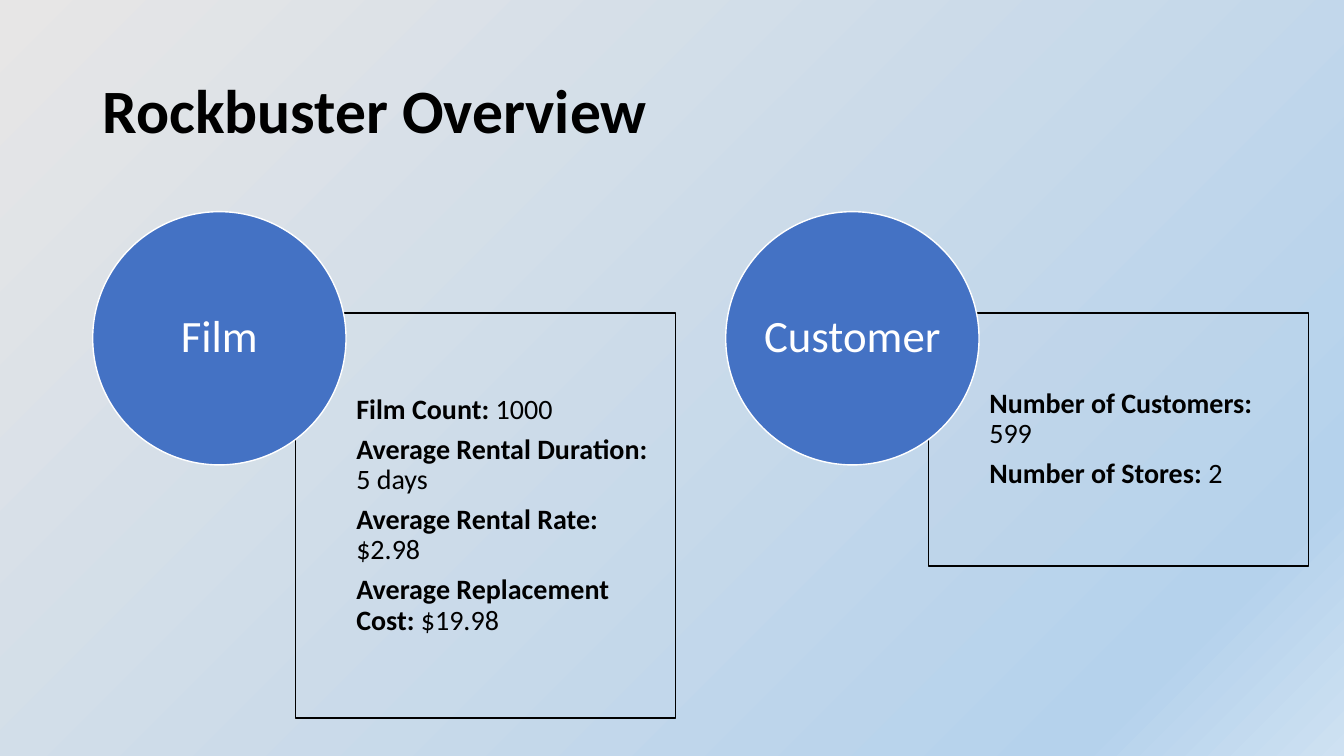
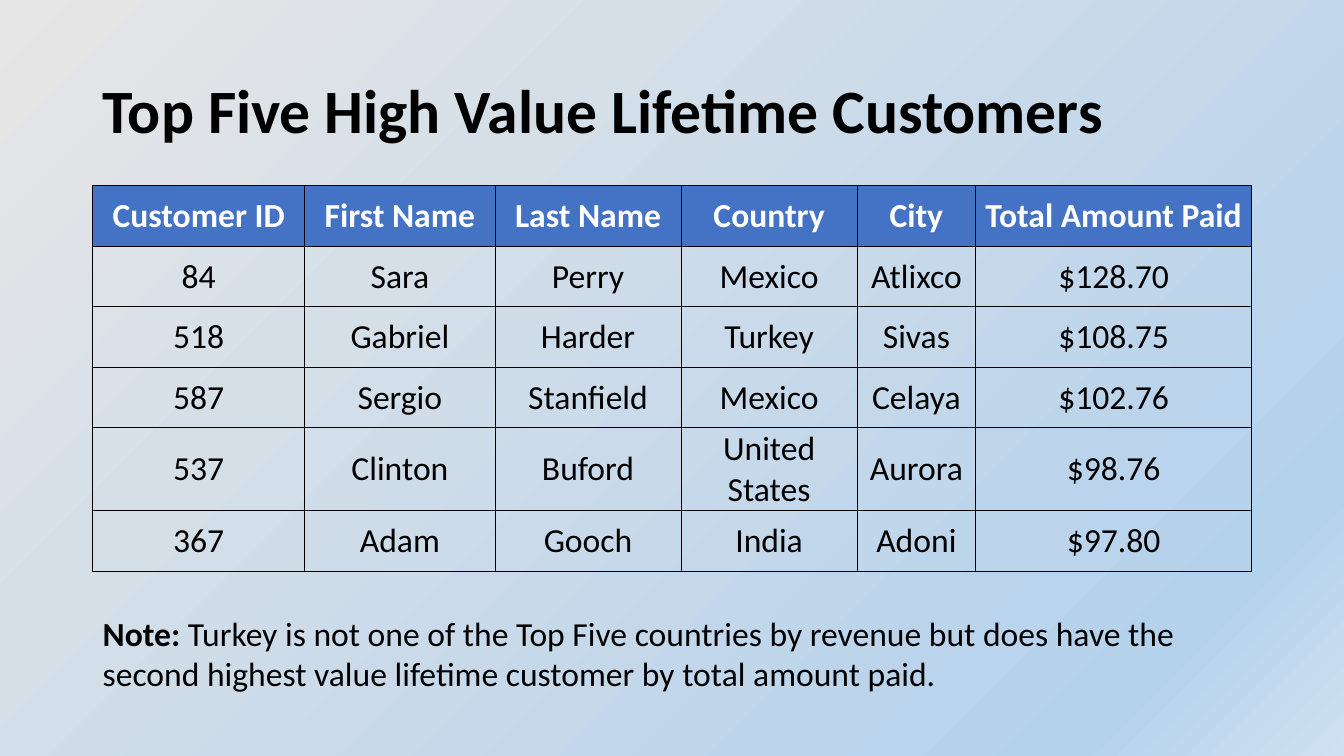
from copy import deepcopy
from lxml.etree import SubElement
from pptx import Presentation
from pptx.dml.color import RGBColor
from pptx.enum.shapes import MSO_SHAPE
from pptx.enum.text import MSO_ANCHOR, MSO_AUTO_SIZE, PP_ALIGN
from pptx.oxml import parse_xml
from pptx.oxml.ns import nsdecls, qn
from pptx.util import Inches, Pt

FONT = "Calibri"
BLACK, WHITE, BLUE, PALE = "000000", "FFFFFF", "4472C4", "CFD5EA"
GRADIENT = [(0, "E7E6E6"), (0.87, "B5D2EC"), (1, "CEE1F2")]
LEFT, WIDTH = 6.9, 86.25


def rgb(value):
    return RGBColor.from_string(value)


class Deck:
    def __init__(self):
        self.prs = Presentation()
        self.prs.slide_width, self.prs.slide_height = Inches(13.33), Inches(7.5)
        master = self.prs.slide_master
        fill = master.background.fill
        fill.gradient()
        fill.gradient_angle = 315
        stops = master.element.find(".//" + qn("a:gsLst"))
        stops.append(deepcopy(stops[-1]))
        for stop, (position, color) in zip(fill.gradient_stops, GRADIENT):
            stop.position = position
            stop.color.rgb = rgb(color)

    def x(self, share):
        return round(self.prs.slide_width * share / 100)

    def y(self, share):
        return round(self.prs.slide_height * share / 100)

    def box(self, left, top, width, height):
        return self.x(left), self.y(top), self.x(width), self.y(height)

    def style(self, p, size, color=BLACK, bold=False, align=None, spacing=None):
        p.alignment = align
        p.line_spacing = spacing
        for r in p.runs:
            r.font.name, r.font.size, r.font.bold = FONT, Pt(size), bold
            r.font.color.rgb = rgb(color)

    def labelled(self, p, label, value, size, spacing=None):
        p.text = label
        p.add_run().text = " " + value
        self.style(p, size, align=PP_ALIGN.LEFT, spacing=spacing)
        p.runs[0].font.bold = True

    def slide(self, title):
        self.s = self.prs.slides.add_slide(self.prs.slide_layouts[5])
        sp = self.s.shapes.title
        sp.left, sp.top, sp.width, sp.height = self.box(LEFT, 5.33, WIDTH, 19.33)
        tf = sp.text_frame
        tf.text = title
        tf.auto_size = MSO_AUTO_SIZE.NONE
        tf.vertical_anchor = MSO_ANCHOR.MIDDLE
        self.style(tf.paragraphs[0], 44, bold=True, align=PP_ALIGN.LEFT, spacing=0.9)

    def shape(self, kind, box, line, insets, fill=None, opacity=100):
        sp = self.s.shapes.add_shape(kind, *self.box(*box))
        sp.shadow.inherit = False
        sp.line.color.rgb, sp.line.width = rgb(line), Pt(1)
        if fill:
            sp.fill.solid()
            sp.fill.fore_color.rgb = rgb(fill)
            if opacity < 100:
                color = sp.element.spPr.find(qn("a:solidFill"))[0]
                SubElement(color, qn("a:alpha"), val=str(opacity * 1000))
        else:
            sp.fill.background()
        tf = sp.text_frame
        tf.vertical_anchor = MSO_ANCHOR.MIDDLE
        tf.margin_left, tf.margin_top, tf.margin_right, tf.margin_bottom = insets
        return tf

    def panel(self, left, name, facts, height, fill=None):
        top, across, down = 28, 18.85, 33.5
        inset = self.y(2.13)
        box = (left + 0.8 * across, top + 0.4 * down, 1.5 * across, height * down)
        tf = self.shape(MSO_SHAPE.RECTANGLE, box, BLACK,
                        (self.x(4.53), inset, inset, inset), fill, 7)
        tf.word_wrap = True
        for i, (label, value) in enumerate(facts):
            p = tf.add_paragraph() if i else tf.paragraphs[0]
            self.labelled(p, label, value, 20, 0.9)
            p.space_after = Pt(7)
        tf = self.shape(MSO_SHAPE.OVAL, (left, top, across, down), WHITE, (0,) * 4, BLUE)
        tf.word_wrap = False
        tf.text = name
        self.style(tf.paragraphs[0], 32, WHITE, align=PP_ALIGN.CENTER, spacing=0.9)

    def table(self, top, row_height, weights, rows):
        frame = self.s.shapes.add_table(len(rows), len(weights), *self.box(
            LEFT, top, WIDTH, row_height * len(rows)))
        table = frame.table
        for column, weight in zip(table.columns, weights):
            column.width = self.x(WIDTH * weight / sum(weights))
        for i, row in enumerate(rows):
            for j, value in enumerate(row):
                self.cell(table.cell(i, j), value, i == 0)

    def cell(self, cell, value, header):
        cell.text = value
        cell.vertical_anchor = MSO_ANCHOR.MIDDLE
        cell.margin_left = cell.margin_right = cell.margin_top = Inches(0.01)
        cell.margin_bottom = 0
        self.style(cell.text_frame.paragraphs[0], 24, WHITE if header else BLACK,
                   header, PP_ALIGN.CENTER)
        if header:
            cell.fill.solid()
            cell.fill.fore_color.rgb = rgb(BLUE)
        else:
            cell.fill.background()
        props = cell._tc.get_or_add_tcPr()
        for i, side in enumerate("LRTB"):
            props.insert(i, parse_xml(
                f'<a:ln{side} {nsdecls("a")} w="{Pt(0.5)}"><a:solidFill>'
                f'<a:srgbClr val="{BLACK}"/></a:solidFill></a:ln{side}>'))

    def note(self, top, height, label, value):
        tf = self.s.shapes.add_textbox(*self.box(LEFT, top, WIDTH, height)).text_frame
        tf.word_wrap = True
        tf.auto_size = MSO_AUTO_SIZE.SHAPE_TO_FIT_TEXT
        self.labelled(tf.paragraphs[0], label, value, 24)


deck = Deck()

deck.slide("Rockbuster Overview")
deck.panel(LEFT, "Film", [
    ("Film Count:", "1000"),
    ("Average Rental Duration:", "5 days"),
    ("Average Rental Rate:", "$2.98"),
    ("Average Replacement Cost:", "$19.98"),
], 1.6)
deck.panel(54, "Customer", [
    ("Number of Customers:", "599"),
    ("Number of Stores:", "2"),
], 1, PALE)

deck.slide("Top Five High Value Lifetime Customers")
deck.table(24.53, 8, [2.1, 1.89, 1.84, 1.75, 1.17, 2.74], [
    ("Customer ID", "First Name", "Last Name", "Country", "City", "Total Amount Paid"),
    ("84", "Sara", "Perry", "Mexico", "Atlixco", "$128.70"),
    ("518", "Gabriel", "Harder", "Turkey", "Sivas", "$108.75"),
    ("587", "Sergio", "Stanfield", "Mexico", "Celaya", "$102.76"),
    ("537", "Clinton", "Buford", "United States", "Aurora", "$98.76"),
    ("367", "Adam", "Gooch", "India", "Adoni", "$97.80"),
])
deck.note(80.4, 12.13, "Note:",
          "Turkey is not one of the Top Five countries by revenue but does have "
          "the second highest value lifetime customer by total amount paid.")

deck.prs.save("out.pptx")
